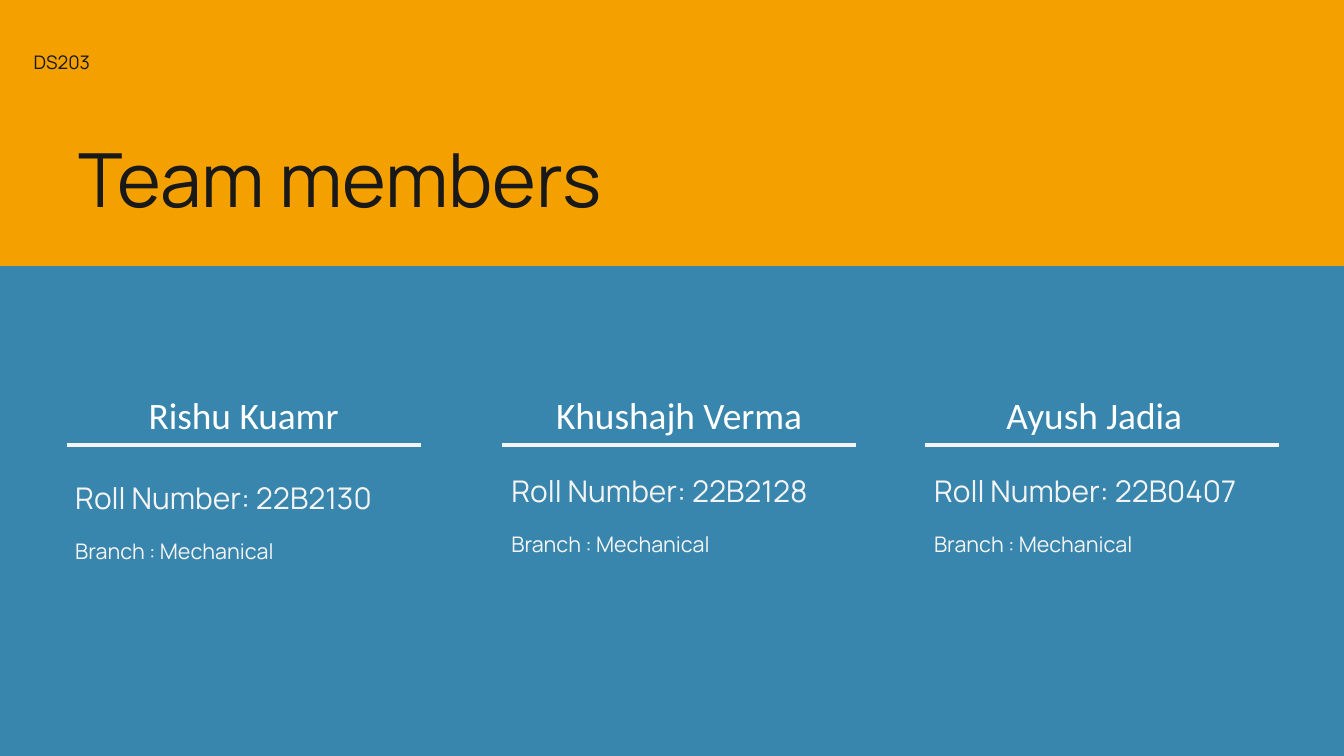
"""Build the team members slide."""
from dataclasses import dataclass

import lxml.etree
import pptx
import pptx.dml.color
import pptx.enum.shapes
import pptx.enum.text
import pptx.oxml.ns
import pptx.shapes.autoshape
import pptx.slide
import pptx.util

PX = pptx.util.Inches(1) // 100
PAGE_WIDTH, PAGE_HEIGHT = 2000, 1125
BAND_TOP = 396
RULE_TOP = 662
COLUMN_WIDTH = 527
DETAIL_WIDTH = 513
BRANCH_OFFSET = 88
ALIGN = pptx.enum.text.PP_ALIGN


@dataclass(frozen=True)
class TextStyle:
    """Type settings of one kind of text."""

    font: str
    size: int
    color: str
    leading: float | None = None
    align: ALIGN = ALIGN.LEFT
    inset_x: int = 0
    inset_y: int = 0


@dataclass(frozen=True)
class Theme:
    """Colours and type styles of the slide."""

    background: str = "F4A100"
    band: str = "3886AD"
    rule: str = "F4F4F4"
    rule_width: float = 3.75
    course: TextStyle = TextStyle("Manrope", 20, "191919", 28)
    title: TextStyle = TextStyle("Manrope", 80, "191919", 96)
    name: TextStyle = TextStyle("Calibri", 40, "FFFFFF", align=ALIGN.CENTER, inset_x=10, inset_y=5)
    roll: TextStyle = TextStyle("Manrope", 32, "F4F4F4", 41.6)
    branch: TextStyle = TextStyle("Manrope", 23, "F4F4F4", 29.9)


@dataclass(frozen=True)
class Frame:
    """Place and size of a box in px."""

    left: int
    top: int
    width: int
    height: int

    def emu(self) -> tuple[int, int, int, int]:
        """Return the frame in EMU."""
        return self.left * PX, self.top * PX, self.width * PX, self.height * PX


@dataclass(frozen=True)
class Member:
    """A team member and the positions of their column."""

    name: str
    roll: str
    branch: str
    name_left: int
    rule_left: int
    detail_left: int
    detail_top: int


THEME = Theme()
MEMBERS = (
    Member("Rishu Kuamr", "22B2130", "Mechanical", 99, 99, 112, 710),
    Member("Khushajh Verma", "22B2128", "Mechanical", 747, 747, 761, 699),
    Member("Ayush Jadia", "22B0407", "Mechanical", 1365, 1376, 1390, 699),
)


def rgb(color: str) -> pptx.dml.color.RGBColor:
    """Turn a hex colour into an RGBColor."""
    return pptx.dml.color.RGBColor.from_string(color)


def write_text(box: pptx.shapes.autoshape.Shape, text: str, style: TextStyle) -> None:
    """Fill a box with one styled paragraph."""
    frame = box.text_frame
    frame.text = text
    frame.word_wrap = True
    frame.auto_size = pptx.enum.text.MSO_AUTO_SIZE.NONE
    frame.vertical_anchor = pptx.enum.text.MSO_ANCHOR.TOP
    frame.margin_left = frame.margin_right = style.inset_x * PX
    frame.margin_top = frame.margin_bottom = style.inset_y * PX
    para = frame.paragraphs[0]
    para.alignment = style.align
    if style.leading is not None:
        para.line_spacing = pptx.util.Pt(style.leading)
    para.font.name = style.font
    para.font.size = pptx.util.Pt(style.size)
    para.font.color.rgb = rgb(style.color)


def add_text(page: pptx.slide.Slide, frame: Frame, text: str, style: TextStyle) -> None:
    """Add a text box with one styled paragraph."""
    write_text(page.shapes.add_textbox(*frame.emu()), text, style)


def add_title(page: pptx.slide.Slide, frame: Frame, text: str) -> None:
    """Move and fill the title placeholder."""
    title = page.shapes.title
    title.left, title.top, title.width, title.height = frame.emu()
    write_text(title, text, THEME.title)


def add_band(page: pptx.slide.Slide, frame: Frame) -> None:
    """Add the coloured band behind the members."""
    band = page.shapes.add_shape(pptx.enum.shapes.MSO_SHAPE.RECTANGLE, *frame.emu())
    band.shadow.inherit = False
    band.fill.solid()
    band.fill.fore_color.rgb = rgb(THEME.band)
    band.line.fill.background()


def add_rule(page: pptx.slide.Slide, left: int) -> None:
    """Add the line under a member's name."""
    rule = page.shapes.add_connector(
        pptx.enum.shapes.MSO_CONNECTOR.STRAIGHT,
        left * PX, RULE_TOP * PX, (left + COLUMN_WIDTH) * PX, RULE_TOP * PX,
    )
    rule.line.color.rgb = rgb(THEME.rule)
    rule.line.width = pptx.util.Pt(THEME.rule_width)
    properties = rule.element.find(pptx.oxml.ns.qn("p:spPr"))
    lxml.etree.SubElement(properties, pptx.oxml.ns.qn("a:effectLst"))


def add_member(page: pptx.slide.Slide, member: Member) -> None:
    """Add one member's name, rule and details."""
    left, top = member.detail_left, member.detail_top
    add_rule(page, member.rule_left)
    add_text(page, Frame(member.name_left, 578, COLUMN_WIDTH, 77), member.name, THEME.name)
    add_text(page, Frame(left, top, DETAIL_WIDTH, 58), f"Roll Number: {member.roll}", THEME.roll)
    add_text(page, Frame(left, top + BRANCH_OFFSET, DETAIL_WIDTH, 41),
             f"Branch : {member.branch}", THEME.branch)


def main() -> None:
    """Build and save the deck."""
    deck = pptx.Presentation()
    deck.slide_width, deck.slide_height = PAGE_WIDTH * PX, PAGE_HEIGHT * PX
    page = deck.slides.add_slide(deck.slide_layouts.get_by_name("Title Only"))
    page.background.fill.solid()
    page.background.fill.fore_color.rgb = rgb(THEME.background)
    add_title(page, Frame(117, 197, 1775, 135), "Team members")
    add_text(page, Frame(50, 70, 299, 38), "DS203", THEME.course)
    add_band(page, Frame(0, BAND_TOP, PAGE_WIDTH, PAGE_HEIGHT - BAND_TOP))
    for member in MEMBERS:
        add_member(page, member)
    deck.save("out.pptx")


if __name__ == "__main__":
    main()
